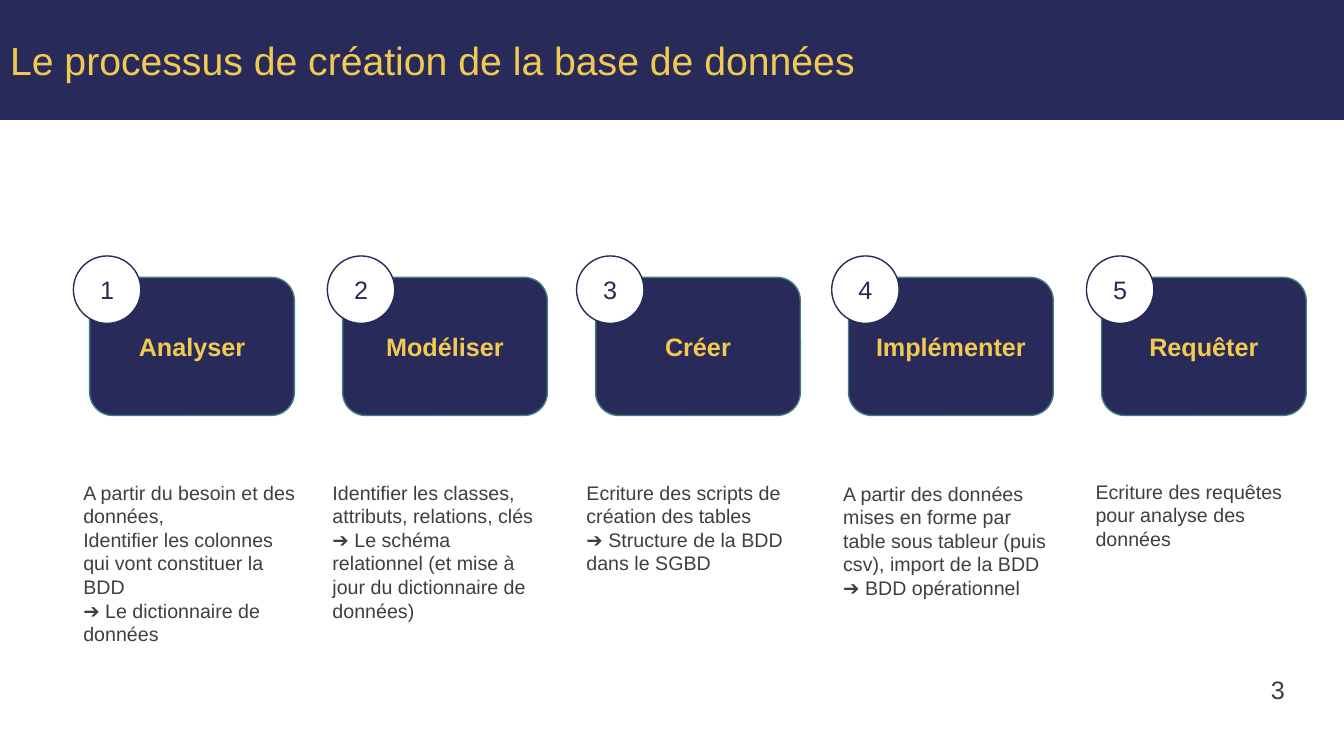
from pptx import Presentation
from pptx.dml.color import RGBColor
from pptx.enum import shapes, text
from pptx.util import Cm, Pt

TITLE = "Le processus de création de la base de données"
PAGE_NUMBER = "3"
# heading, badge left (cm), note left and top (cm), note paragraphs
STEPS = [
    ("Analyser", 1.85, (1.85, 11.99), [
        "A partir du besoin et des données,",
        "Identifier les colonnes qui vont constituer la BDD",
        "➔ Le dictionnaire de données"]),
    ("Modéliser", 8.25, (8.13, 11.99), [
        "Identifier les classes, attributs, relations, clés",
        "➔ Le schéma relationnel (et mise à jour du dictionnaire de données)"]),
    ("Créer", 14.53, (14.53, 11.99), [
        "Ecriture des scripts de création des tables",
        "➔ Structure de la BDD dans le SGBD"]),
    ("Implémenter", 20.96, (21.0, 12.01), [
        "A partir des données mises en forme par table sous tableur (puis csv), import de la BDD",
        "➔ BDD opérationnel"]),
    ("Requêter", 27.38, (27.36, 11.96), [
        "Ecriture des requêtes pour analyse des données"]),
]
COLORS = {"navy": "282B59", "gold": "F2CA52", "teal": "457E82",
          "white": "FFFFFF", "grey": "3F3F3F"}
FONT = "Arial"
SLIDE_W, SLIDE_H = 33.87, 19.05
CARD_LEFT, CARD_TOP, CARD_W, CARD_H = 2.26, 6.99, 5.16, 3.48
CARD_PITCH = 6.375
BADGE_TOP, BADGE_SIZE = 6.45, 1.7
NOTE_W, NOTE_LINE_H = 5.89, 0.6


def color(name):
    return RGBColor.from_string(COLORS[name])


def write(shape, lines, size, ink, align=text.PP_ALIGN.LEFT, bold=False):
    frame = shape.text_frame
    frame.word_wrap = True
    frame.text = "\n".join(lines)
    for paragraph in frame.paragraphs:
        paragraph.alignment = align
        for run in paragraph.runs:
            run.font.name = FONT
            run.font.size = Pt(size)
            run.font.bold = bold
            run.font.color.rgb = color(ink)


def add_label(slide, kind, box, fill, outline, label, ink, bold=False):
    """Add an outlined shape with one centred label."""
    shape = slide.shapes.add_shape(kind, *map(Cm, box))
    shape.shadow.inherit = False
    shape.fill.solid()
    shape.fill.fore_color.rgb = color(fill)
    shape.line.color.rgb = color(outline)
    shape.line.width = Pt(1)
    shape.text_frame.vertical_anchor = text.MSO_ANCHOR.MIDDLE
    write(shape, [label], 18, ink, text.PP_ALIGN.CENTER, bold)


def add_note(slide, box, lines, size):
    note = slide.shapes.add_textbox(*map(Cm, box))
    write(note, lines, size, "grey")


def add_banner(slide):
    banner = slide.shapes.title
    banner.left, banner.top = Cm(0), Cm(0)
    banner.width, banner.height = Cm(SLIDE_W), Cm(3.02)
    banner.fill.solid()
    banner.fill.fore_color.rgb = color("navy")
    banner.text_frame.vertical_anchor = text.MSO_ANCHOR.MIDDLE
    banner.text_frame.auto_size = text.MSO_AUTO_SIZE.NONE
    write(banner, [TITLE], 28, "gold")


def main():
    deck = Presentation()
    deck.slide_width, deck.slide_height = Cm(SLIDE_W), Cm(SLIDE_H)
    slide = deck.slides.add_slide(deck.slide_layouts[5])
    add_banner(slide)
    for index, (heading, badge_left, note_corner, lines) in enumerate(STEPS):
        card_left = CARD_LEFT + index * CARD_PITCH
        add_label(slide, shapes.MSO_SHAPE.ROUNDED_RECTANGLE,
                  (card_left, CARD_TOP, CARD_W, CARD_H),
                  "navy", "teal", heading, "gold", bold=True)
        add_label(slide, shapes.MSO_SHAPE.OVAL,
                  (badge_left, BADGE_TOP, BADGE_SIZE, BADGE_SIZE),
                  "white", "navy", str(index + 1), "navy")
        rows = sum(-(-len(line) // 24) for line in lines)
        add_note(slide, (*note_corner, NOTE_W, 0.25 + rows * NOTE_LINE_H), lines, 14)
    add_note(slide, (31.78, 16.87, 1.63, 1.8), [PAGE_NUMBER], 18)
    deck.save("out.pptx")


if __name__ == "__main__":
    main()
